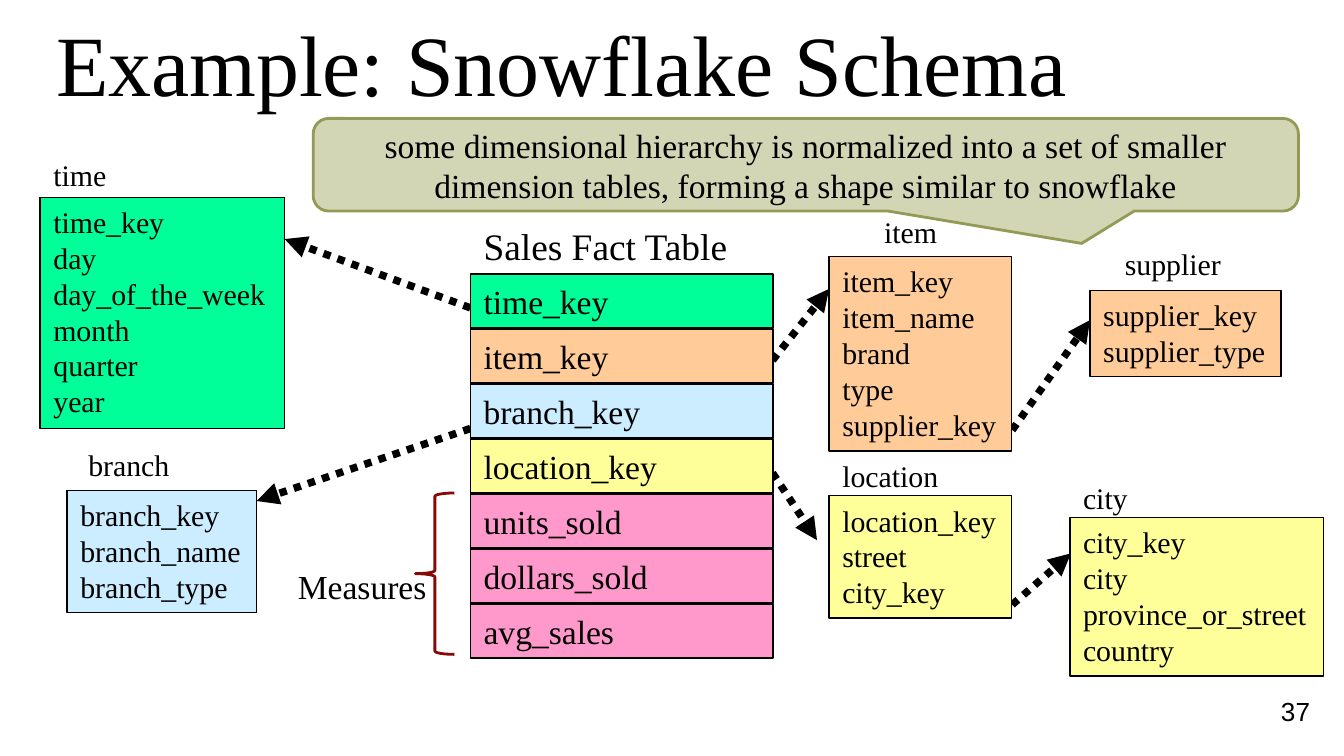
from pptx import Presentation
from pptx.dml.color import RGBColor
from pptx.enum.dml import MSO_LINE
from pptx.enum.shapes import MSO_CONNECTOR, MSO_SHAPE
from pptx.enum.text import MSO_ANCHOR, PP_ALIGN
from pptx.oxml.ns import qn
from pptx.util import Cm, Pt
from lxml.etree import SubElement

BLACK = RGBColor(0x00, 0x00, 0x00)
GREEN = RGBColor(0x00, 0xFF, 0x99)
ORANGE = RGBColor(0xFF, 0xCC, 0x99)
BLUE = RGBColor(0xCC, 0xEC, 0xFF)
YELLOW = RGBColor(0xFF, 0xFF, 0x99)
PINK = RGBColor(0xFF, 0x99, 0xCC)
OLIVE = RGBColor(0xD3, 0xD6, 0xB5)
DARK_OLIVE = RGBColor(0x93, 0x9A, 0x54)
DARK_RED = RGBColor(0x86, 0x09, 0x08)
SERIF = "Times New Roman"

# Areas are (left, top, width, height) in centimetres.
TITLE = ("Example: Snowflake Schema", (0.81, 0.51, 22.86, 1.32))
PAGE_NUMBER = ("37", (20.9, 13.13, 4.11, 0.61))
FACT_TITLE = ("Sales Fact Table", (8.89, 4.09, 5.23, 1.12))
MEASURES = ("Measures", (5.38, 10.57, 3.35, 1.02))
BRACE_AREA = (7.85, 9.32, 0.74, 3.05)
CALLOUT = ("some dimensional hierarchy is normalized into a set of smaller "
           "dimension tables, forming a shape similar to snowflake",
           (5.92, 2.24, 18.62, 1.75))

FACT_LEFT, FACT_TOP, FACT_WIDTH = 8.89, 5.18, 5.72
ROW_HEIGHT, ROW_STEP = 1.02, 1.04
FACT_ROWS = [
    ("time_key", GREEN), ("item_key", ORANGE), ("branch_key", BLUE),
    ("location_key", YELLOW), ("units_sold", PINK),
    ("dollars_sold", PINK), ("avg_sales", PINK),
]

# Name, name area, fields, field area, fill
DIMENSIONS = [
    ("time", (0.76, 2.84, 1.52, 0.94),
     ["time_key", "day", "day_of_the_week", "month", "quarter", "year"],
     (0.76, 3.73, 4.62, 4.37), GREEN),
    ("location", (15.67, 8.53, 2.36, 0.94),
     ["location_key", "street", "city_key"],
     (15.67, 9.37, 3.45, 2.31), YELLOW),
    ("item", (16.46, 3.91, 1.52, 0.94),
     ["item_key", "item_name", "brand", "type", "supplier_key"],
     (15.67, 4.85, 3.45, 3.68), ORANGE),
    ("branch", (1.42, 8.31, 2.06, 0.94),
     ["branch_key", "branch_name", "branch_type"],
     (1.27, 9.27, 3.58, 2.31), BLUE),
    ("supplier", (21.01, 4.52, 2.34, 0.94),
     ["supplier_key", "supplier_type"],
     (20.6, 5.49, 3.61, 1.63), ORANGE),
    ("city", (20.22, 8.94, 1.37, 0.94),
     ["city_key", "city", "province_or_street", "country"],
     (20.22, 9.78, 4.8, 3.0), YELLOW),
]

ARROWS = [
    ((8.89, 8.1), (4.85, 9.47)),      # fact to branch
    ((8.89, 5.82), (5.38, 4.52)),     # fact to time
    ((14.6, 8.94), (15.44, 10.21)),   # fact to location
    ((14.6, 6.81), (15.67, 5.46)),    # fact to item
    ((19.13, 8.13), (20.6, 6.05)),    # item to supplier
    ((19.13, 11.43), (20.24, 10.46)),  # location to city
]

deck = Presentation()
deck.slide_width, deck.slide_height = Cm(25.4), Cm(14.29)
page = deck.slides.add_slide(deck.slide_layouts[6])


def write(box, lines, size, font=SERIF, align=PP_ALIGN.LEFT,
          anchor=MSO_ANCHOR.TOP, wrap=True):
    frame = box.text_frame
    frame.word_wrap = wrap
    frame.vertical_anchor = anchor
    frame.text = "\n".join(lines)
    for para in frame.paragraphs:
        para.alignment = align
        para.font.name = font
        para.font.size = Pt(size)
        para.font.color.rgb = BLACK


def add_label(text, area, size, **style):
    write(page.shapes.add_textbox(*map(Cm, area)), [text], size, **style)


def add_outlined(kind, area, fill, line=BLACK, weight=0.75):
    shape = page.shapes.add_shape(kind, *map(Cm, area))
    shape.shadow.inherit = False
    if fill is None:
        shape.fill.background()
    else:
        shape.fill.solid()
        shape.fill.fore_color.rgb = fill
    shape.line.color.rgb = line
    shape.line.width = Pt(weight)
    return shape


def add_arrow(start, end):
    arrow = page.shapes.add_connector(MSO_CONNECTOR.STRAIGHT,
                                      *map(Cm, start + end))
    arrow.line.color.rgb = BLACK
    arrow.line.width = Pt(4)
    arrow.line.dash_style = MSO_LINE.ROUND_DOT  # written as sysDot
    SubElement(arrow.line._get_or_add_ln(), qn("a:tailEnd"), type="triangle")
    SubElement(arrow._element.spPr, qn("a:effectLst"))


add_label(*TITLE, 46, anchor=MSO_ANCHOR.MIDDLE)
add_label(*PAGE_NUMBER, 14, font="Arial", align=PP_ALIGN.RIGHT,
          anchor=MSO_ANCHOR.MIDDLE)
add_label(*FACT_TITLE, 20, wrap=False)
add_label(*MEASURES, 18)

for start, end in ARROWS:
    add_arrow(start, end)

for name, name_area, fields, field_area, fill in DIMENSIONS:
    box = add_outlined(MSO_SHAPE.RECTANGLE, field_area, fill)
    write(box, fields, 16, wrap=False)
    add_label(name, name_area, 16, wrap=False)

callout_text, callout_area = CALLOUT
callout = add_outlined(MSO_SHAPE.ROUNDED_RECTANGULAR_CALLOUT, callout_area,
                       OLIVE, DARK_OLIVE, 1.5)
callout.adjustments[0] = 0.28
callout.adjustments[1] = 0.85
write(callout, [callout_text], 18, align=PP_ALIGN.CENTER,
      anchor=MSO_ANCHOR.MIDDLE)

for index, (key, fill) in enumerate(FACT_ROWS):
    row_area = (FACT_LEFT, FACT_TOP + index * ROW_STEP, FACT_WIDTH, ROW_HEIGHT)
    write(add_outlined(MSO_SHAPE.RECTANGLE, row_area, fill), [key], 18)

add_outlined(MSO_SHAPE.LEFT_BRACE, BRACE_AREA, None, DARK_RED, 1.5)

deck.save("out.pptx")
